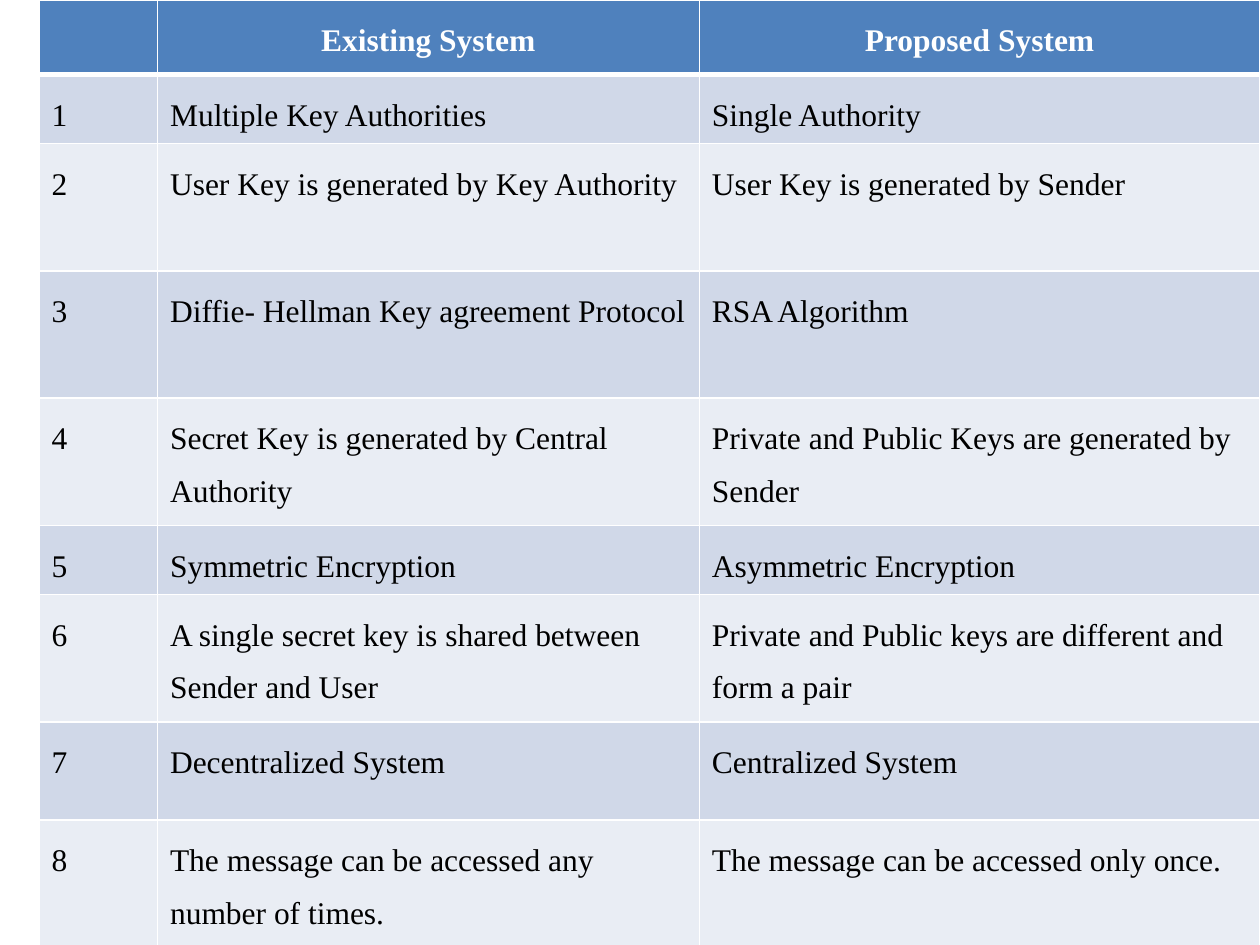
from lxml import etree
from pptx import Presentation
from pptx import util as u
from pptx.dml.color import RGBColor
from pptx.enum import text
from pptx.oxml.ns import qn

COLORS = {
    "header": "4F81BD",
    "odd": "D0D8E8",
    "even": "E9EDF4",
    "light": "FFFFFF",
    "dark": "000000",
}
FONT = "Times New Roman"
SLIDE_W, SLIDE_H = 10, 7.5
LEFT = 0.31
COLUMNS = [0.94, 4.3, 4.45]
HEADER_H, SHORT, MEDIUM, TALL = 0.59, 0.55, 0.78, 1.01
HEADINGS = ["", "Existing System", "Proposed System"]
COMPARISONS = [
    (SHORT, "Multiple Key Authorities", "Single Authority"),
    (TALL, "User Key is generated by Key Authority", "User Key is generated by Sender"),
    (TALL, "Diffie- Hellman Key agreement Protocol", "RSA Algorithm"),
    (TALL, "Secret Key is generated by Central Authority",
     "Private and Public Keys are generated by Sender"),
    (SHORT, "Symmetric Encryption", "Asymmetric Encryption"),
    (TALL, "A single secret key is shared between Sender and User",
     "Private and Public keys are different and form a pair"),
    (MEDIUM, "Decentralized System", "Centralized System"),
    (TALL, "The message can be accessed any number of times.",
     "The message can be accessed only once."),
]


def rgb(name):
    return RGBColor.from_string(COLORS[name])


def set_borders(cell, top=1, bottom=1):
    tcPr = cell._tc.get_or_add_tcPr()
    for side, width in (("L", 1), ("R", 1), ("T", top), ("B", bottom)):
        ln = etree.SubElement(tcPr, qn(f"a:ln{side}"), w=str(u.Pt(width)))
        fill = etree.SubElement(ln, qn("a:solidFill"))
        etree.SubElement(fill, qn("a:srgbClr"), val=COLORS["light"])


def set_cell(cell, content, fill, header=False):
    cell.fill.solid()
    cell.fill.fore_color.rgb = rgb(fill)
    p = cell.text_frame.paragraphs[0]
    p.text = content
    p.line_spacing = 1.5
    p.alignment = text.PP_ALIGN.CENTER if header else text.PP_ALIGN.LEFT
    p.font.name = FONT
    p.font.size = u.Pt(18)
    p.font.bold = header
    p.font.color.rgb = rgb("light" if header else "dark")


def add_comparison(slide):
    heights = [HEADER_H] + [height for height, *_ in COMPARISONS]
    rows = [HEADINGS] + [
        [str(number), existing, proposed]
        for number, (_, existing, proposed) in enumerate(COMPARISONS, 1)
    ]
    table = slide.shapes.add_table(
        len(rows), len(COLUMNS), u.Inches(LEFT), 0,
        u.Inches(sum(COLUMNS)), u.Inches(sum(heights)),
    ).table
    for column, width in zip(table.columns, COLUMNS):
        column.width = u.Inches(width)
    for i, (row, height, contents) in enumerate(zip(table.rows, heights, rows)):
        row.height = u.Inches(height)
        fill = "header" if i == 0 else "odd" if i % 2 else "even"
        for cell, content in zip(row.cells, contents):
            set_borders(cell, top=3 if i == 1 else 1, bottom=3 if i == 0 else 1)
            set_cell(cell, content, fill, header=i == 0)


def main():
    prs = Presentation()
    prs.slide_width, prs.slide_height = u.Inches(SLIDE_W), u.Inches(SLIDE_H)
    slide = prs.slides.add_slide(prs.slide_layouts[6])
    add_comparison(slide)
    prs.save("out.pptx")


if __name__ == "__main__":
    main()
